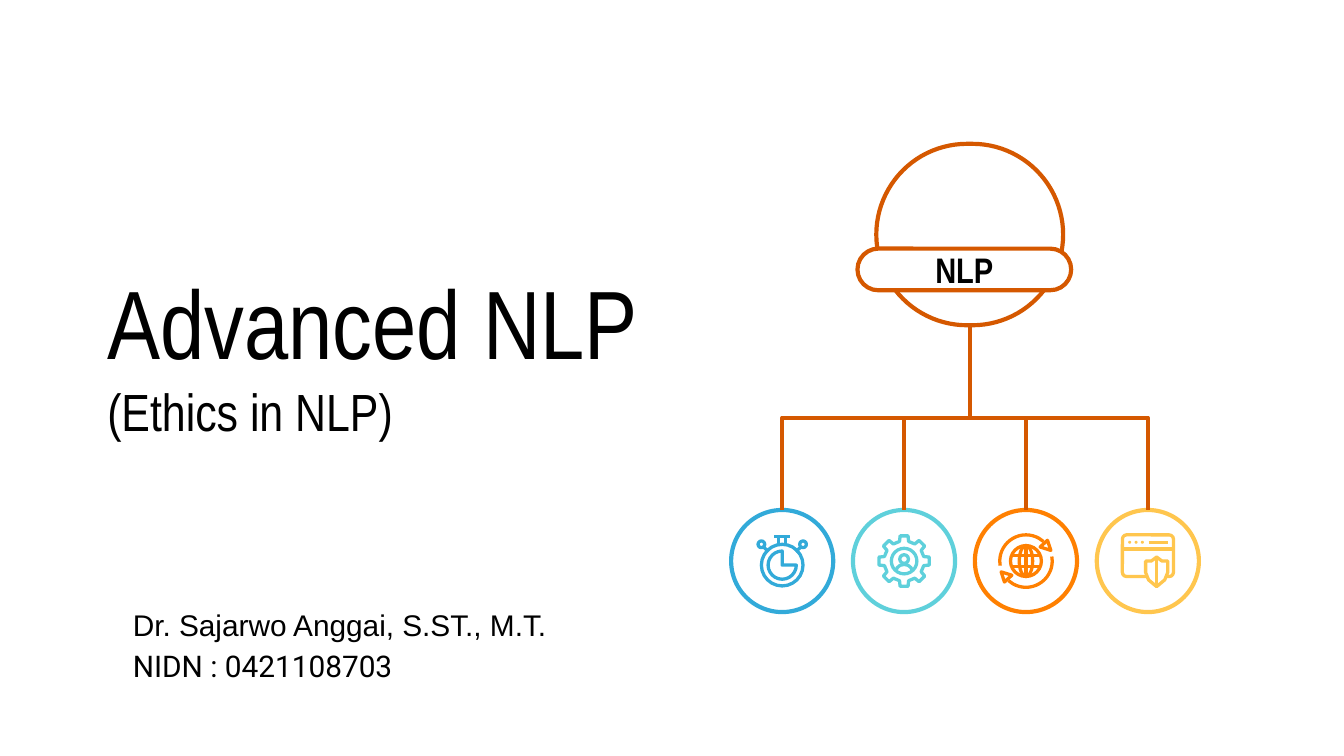
import math

import pptx
import pptx.dml.color
import pptx.enum.shapes
import pptx.enum.text
import pptx.oxml.ns
import pptx.util
from lxml import etree

RGBColor = pptx.dml.color.RGBColor
BLACK = RGBColor(0x00, 0x00, 0x00)
WHITE = RGBColor(0xFF, 0xFF, 0xFF)
RUST = RGBColor(0xD5, 0x58, 0x00)
BLUE = RGBColor(0x32, 0xAA, 0xD9)
TEAL = RGBColor(0x5F, 0xD0, 0xDB)
ORANGE = RGBColor(0xFF, 0x80, 0x01)
YELLOW = RGBColor(0xFF, 0xC6, 0x4E)
KIND = pptx.enum.shapes.MSO_SHAPE
CONNECTOR = pptx.enum.shapes.MSO_CONNECTOR
ANCHOR = pptx.enum.text.MSO_ANCHOR
ICON_LINE = 1.75

presentation = pptx.Presentation()
presentation.slide_width = pptx.util.Inches(10)
presentation.slide_height = presentation.slide_width * 9 // 16
slide = presentation.slides.add_slide(presentation.slide_layouts[6])
cell = presentation.slide_width // 100


def style(shape, color, fill, weight):
    shape.shadow.inherit = False
    shape.line.color.rgb = color
    shape.line.width = pptx.util.Pt(weight)
    if fill is None:
        shape.fill.background()
    else:
        shape.fill.solid()
        shape.fill.fore_color.rgb = fill


def add_part(kind, x, y, width, height, color, fill=None, weight=ICON_LINE):
    box = (x - width / 2, y - height / 2, width, height)
    shape = slide.shapes.add_shape(kind, *[round(value * cell) for value in box])
    style(shape, color, fill, weight)
    return shape


texts = [
    ((8.9, 43.75, 39.4, 7.6), ANCHOR.TOP, "Dr. Sajarwo Anggai, S.ST., M.T.\vNIDN : 0421108703",
     [("Arial", 16), ("Roboto", 16)]),
    ((7, 17.85, 48.4, 16.7), ANCHOR.MIDDLE, "Advanced NLP\v(Ethics in NLP)",
     [("Arial Narrow", 52), ("Arial Narrow", 28)]),
]
for box, anchor, text, fonts in texts:
    text_box = slide.shapes.add_textbox(*[round(value * cell) for value in box])
    text_frame = text_box.text_frame
    text_frame.word_wrap = True
    text_frame.vertical_anchor = anchor
    text_frame.margin_left = text_frame.margin_right = cell
    text_frame.margin_top = text_frame.margin_bottom = cell
    paragraph = text_frame.paragraphs[0]
    paragraph.text = text
    if anchor == ANCHOR.TOP:
        paragraph.line_spacing = 1.15
        paragraph.space_after = pptx.util.Pt(16)
    for run, (name, size) in zip(paragraph.runs, fonts):
        run.font.name = name
        run.font.size = pptx.util.Pt(size)
        run.font.color.rgb = BLACK

colors = [BLUE, TEAL, ORANGE, YELLOW]
centers = [58.2 + 9.07 * index for index in range(4)]
icon_y = 41.75
circles = [add_part(KIND.OVAL, x, icon_y, 7.6, 7.6, color, WHITE, 2.25)
           for x, color in zip(centers, colors)]

root_x = 72.15
root = add_part(KIND.ROUNDED_RECTANGLE, root_x, 17.45, 13.9, 13.5, RUST, WHITE, 2.25)
label = add_part(KIND.ROUNDED_RECTANGLE, root_x - 0.4, 20.05, 15.9, 3.1, RUST, WHITE, 2.25)
root.adjustments[0] = label.adjustments[0] = 0.5
label.text_frame.text = "NLP"
label.text_frame.vertical_anchor = ANCHOR.MIDDLE
label.text_frame.margin_top = label.text_frame.margin_bottom = cell
paragraph = label.text_frame.paragraphs[0]
paragraph.alignment = pptx.enum.text.PP_ALIGN.CENTER
font = paragraph.runs[0].font
font.name, font.size, font.bold = "Arial Narrow", pptx.util.Pt(19), True
font.color.rgb = BLACK

connectors = []
top, bottom = 24.2, icon_y - 3.8
for x, circle in zip(centers, circles):
    branch = slide.shapes.add_connector(CONNECTOR.ELBOW, 0, 0, cell, cell)
    branch.begin_connect(root, 2)
    branch.end_connect(circle, 0)
    drop, reach = bottom - top, abs(x - root_x)
    branch.left = round(((x + root_x) / 2 - drop / 2) * cell)
    branch.top = round(((top + bottom) / 2 - reach / 2) * cell)
    branch.width, branch.height = round(drop * cell), round(reach * cell)
    transform = branch._element.spPr.find(pptx.oxml.ns.qn("a:xfrm"))
    transform.set("rot", str(5400000 if x < root_x else 16200000))
    transform.set("flipH", "0" if x < root_x else "1")
    transform.set("flipV", "0")
    connectors.append((branch, RUST, 2.25))

watch_x, gear_x, globe_x, window_x = centers

add_part(KIND.OVAL, watch_x, icon_y + 0.3, 3.1, 3.1, BLUE)
add_part(KIND.PIE, watch_x, icon_y + 0.3, 2.1, 2.1, BLUE)
add_part(KIND.RECTANGLE, watch_x, icon_y - 1.5, 0.55, 0.6, BLUE)
for side in (-1, 1):
    add_part(KIND.OVAL, watch_x + side * 1.55, icon_y - 1.25, 0.5, 0.5, BLUE)

add_part(KIND.OVAL, gear_x, icon_y, 1.9, 1.9, TEAL)
add_part(KIND.OVAL, gear_x, icon_y - 0.15, 0.65, 0.65, TEAL)
shoulders = add_part(KIND.ARC, gear_x, icon_y + 0.75, 1.2, 1, TEAL)
shoulders.adjustments[0], shoulders.adjustments[1] = 108, 0

for width in (2.3, 1):
    add_part(KIND.OVAL, globe_x, icon_y, width, 2.3, ORANGE)
for start, end in ((170, 312), (350, 132)):
    arc = add_part(KIND.ARC, globe_x, icon_y, 3.9, 3.9, ORANGE)
    arc.adjustments[0], arc.adjustments[1] = start * 0.6, end * 0.6

window = add_part(KIND.ROUNDED_RECTANGLE, window_x, icon_y - 0.4, 3.8, 3.1, YELLOW)
window.adjustments[0] = 0.1
for index in range(3):
    add_part(KIND.OVAL, window_x - 1.35 + 0.47 * index, icon_y - 1.4, 0.15, 0.15, YELLOW, YELLOW, 0.5)

gear = []
for tooth in range(8):
    for offset, radius in ((-13, 1.5), (-9, 1.9), (9, 1.9), (13, 1.5)):
        angle = math.radians(45 * tooth + offset)
        gear.append((radius * math.cos(angle), radius * math.sin(angle)))
arrow = [(1.6, -1.55), (1.05, -1.05), (1.85, -0.8)]
shield_side = [(0, -0.3), (0.4, 0), (0.82, 0), (0.82, 0.85), (0.6, 1.4), (0, 1.9)]
shield = shield_side + [(-x, y) for x, y in reversed(shield_side[1:-1])]
outlines = [
    (gear_x, gear, TEAL, None),
    (globe_x, arrow, ORANGE, WHITE),
    (globe_x, [(-x, -y) for x, y in arrow], ORANGE, WHITE),
    (window_x + 0.65, shield, YELLOW, WHITE),
]
for center, points, color, fill in outlines:
    places = [(round((center + x) * cell), round((icon_y + y) * cell)) for x, y in points]
    builder = slide.shapes.build_freeform(*places[0])
    builder.add_line_segments(places[1:], close=True)
    style(builder.convert_to_shape(), color, fill, ICON_LINE)

strokes = [
    (watch_x, -0.6, -1.85, 0.6, -1.85, BLUE),
    (watch_x, -1.4, -1.05, -1, -0.7, BLUE),
    (watch_x, 1.4, -1.05, 1, -0.7, BLUE),
    (globe_x, 0, -1.15, 0, 1.15, ORANGE),
    (globe_x, -1.05, -0.42, 1.05, -0.42, ORANGE),
    (globe_x, -1.05, 0.42, 1.05, 0.42, ORANGE),
    (window_x, -1.9, -0.9, 1.9, -0.9, YELLOW),
    (window_x, 0.05, -1.4, 1.5, -1.4, YELLOW),
    (window_x, 0.65, -0.2, 0.65, 1.8, YELLOW),
]
for center, x1, y1, x2, y2, color in strokes:
    ends = (center + x1, icon_y + y1, center + x2, icon_y + y2)
    stroke = slide.shapes.add_connector(CONNECTOR.STRAIGHT, *[round(value * cell) for value in ends])
    connectors.append((stroke, color, ICON_LINE))

for connector, color, weight in connectors:
    connector.line.color.rgb = color
    connector.line.width = pptx.util.Pt(weight)
    etree.SubElement(connector._element.spPr, pptx.oxml.ns.qn("a:effectLst"))

presentation.save("out.pptx")
